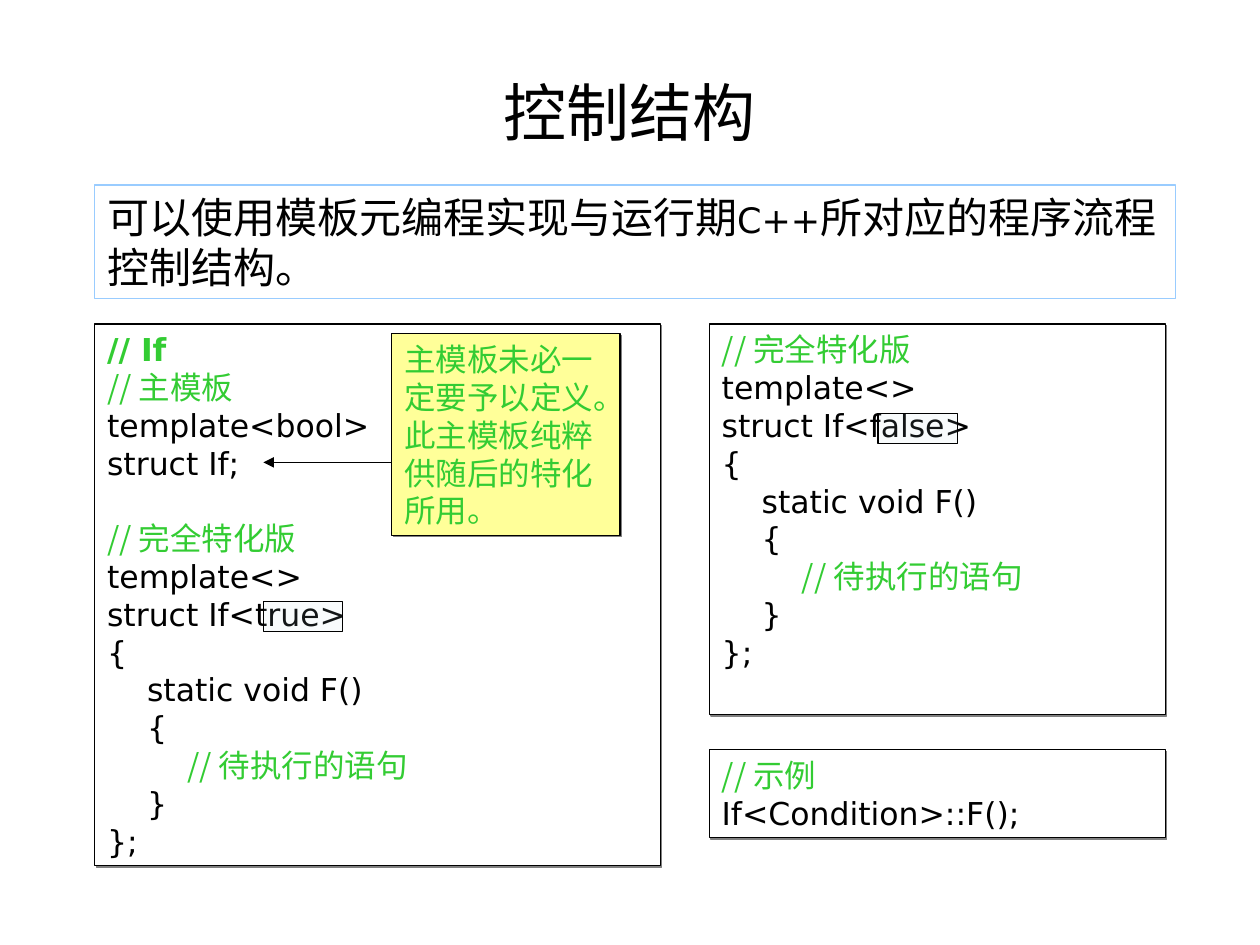
"""Build the slide on control structures in template metaprogramming."""
from dataclasses import dataclass

from lxml import etree
from pptx import Presentation
from pptx import util as u
from pptx.dml.color import RGBColor
from pptx.enum import shapes, text
from pptx.oxml.ns import qn

COLOURS = {"black": "000000", "white": "FFFFFF", "green": "33CC33", "sky": "99CCFF",
           "yellow": "FFFF99", "mark": "BBE0E3", "shadow": "808080"}
LINE_RATIO = 1.2


@dataclass(frozen=True)
class Style:
    face: str
    size: int
    colour: str = "black"
    bold: bool = False


@dataclass(frozen=True)
class Span:
    words: str
    style: Style


@dataclass(frozen=True)
class Line:
    spans: tuple[Span, ...]
    before: float = 0


@dataclass(frozen=True)
class Panel:
    left: float
    top: float
    width: float
    height: float
    lines: tuple[Line, ...] = ()
    fill: str | None = "white"
    outline: str = "black"
    shadow: bool = True
    opacity: int = 100


CODE = Style("DejaVu Sans", 18)
HEADING = Style("DejaVu Sans", 18, "green", True)
COMMENT = Style("Noto Sans CJK JP", 18, "green")
CALLOUT = Style("Arial", 18, "green")
LEAD = Style("Noto Sans CJK JP", 24)
LEAD_LATIN = Style("DejaVu Sans", 20)
TITLE = Style("Arial", 36)


def line(words: str, style: Style = CODE, before: float = 0) -> Line:
    """Make a line with a single style."""
    return Line((Span(words, style),), before)


def specialisation(value: str, before: float = 0) -> tuple[Line, ...]:
    """List the code of one full specialisation."""
    return (
        line("// 完全特化版", COMMENT, before),
        *map(line, ("template<>", f"struct If<{value}>", "{", "    static void F()", "    {")),
        Line((Span("        ", CODE), Span("// 待执行的语句", COMMENT))),
        *map(line, ("    }", "};")),
    )


BANNER = Panel(1.91, 3.73, 21.79, 2.29, (Line((
    Span("可以使用模板元编程实现与运行期", LEAD),
    Span("C++", LEAD_LATIN),
    Span("所对应的程序流程控制结构。", LEAD))),), None, "sky", False)
PRIMARY = Panel(1.91, 6.53, 11.4, 10.92, (
    line("// If", HEADING),
    line("// 主模板", COMMENT),
    line("template<bool>"),
    line("struct If;"),
    *specialisation("true", before=0.76)))
FALSE_CASE = Panel(14.3, 6.53, 9.19, 7.87, specialisation("false"))
EXAMPLE = Panel(14.3, 15.11, 9.19, 1.78, (
    line("// 示例", COMMENT), line("If<Condition>::F();")))
REMARK = Panel(7.9, 6.73, 4.6, 4.06, (
    line("主模板未必一定要予以定义。此主模板纯粹供随后的特化所用。", CALLOUT),), "yellow")
MARKS = tuple(Panel(left, top, 1.6, 0.61, fill="mark", shadow=False, opacity=10)
              for left, top in ((5.31, 12.12), (17.7, 8.33)))


def rgb(name: str) -> RGBColor:
    """Look up a named colour."""
    return RGBColor.from_string(COLOURS[name])


def apply_style(font, style: Style) -> None:
    """Set size, weight, colour and both typefaces."""
    font.size = u.Pt(style.size)
    font.bold = style.bold
    font.color.rgb = rgb(style.colour)
    font.name = style.face
    etree.SubElement(font._element if hasattr(font, "_element") else font._rPr,
                     qn("a:ea"), typeface=style.face)


def write(frame, lines: tuple[Line, ...], align=text.PP_ALIGN.LEFT,
          anchor=text.MSO_ANCHOR.TOP) -> None:
    """Fill a text frame with styled lines."""
    frame.word_wrap = True
    frame.vertical_anchor = anchor
    frame.margin_left = frame.margin_right = u.Cm(0.25)
    frame.margin_top = frame.margin_bottom = u.Cm(0.13)
    for index, item in enumerate(lines):
        para = frame.paragraphs[0] if index == 0 else frame.add_paragraph()
        para.alignment = align
        para.line_spacing = u.Pt(LINE_RATIO * max(span.style.size for span in item.spans))
        if item.before:
            para.space_before = u.Cm(item.before)
        uniform = len({span.style for span in item.spans}) == 1
        if uniform:
            apply_style(para.font, item.spans[0].style)
        for span in item.spans:
            run = para.add_run()
            run.text = span.words
            if not uniform:
                apply_style(run.font, span.style)


def add_shadow(box) -> None:
    """Give a box a small hard shadow to the lower right."""
    effects = box._element.spPr.find(qn("a:effectLst"))
    outer = etree.SubElement(effects, qn("a:outerShdw"), dist=str(u.Pt(1.4)),
                             dir="2700000", algn="ctr", rotWithShape="0")
    etree.SubElement(outer, qn("a:srgbClr"), val=COLOURS["shadow"])


def draw_panel(page, panel: Panel) -> None:
    """Draw a rectangle with its text."""
    box = page.shapes.add_shape(
        shapes.MSO_SHAPE.RECTANGLE,
        *map(u.Cm, (panel.left, panel.top, panel.width, panel.height)))
    box.shadow.inherit = False
    box.line.color.rgb = rgb(panel.outline)
    box.line.width = u.Pt(0.75)
    if panel.fill is None:
        box.fill.background()
    else:
        box.fill.solid()
        box.fill.fore_color.rgb = rgb(panel.fill)
    if panel.opacity < 100:
        colour = box._element.spPr.find(f"{qn('a:solidFill')}/{qn('a:srgbClr')}")
        etree.SubElement(colour, qn("a:alpha"), val=str(panel.opacity * 1000))
    if panel.shadow:
        add_shadow(box)
    if panel.lines:
        write(box.text_frame, panel.lines)


def draw_arrow(page, start: float, end: float, height: float) -> None:
    """Draw a level arrow from start to end."""
    arrow = page.shapes.add_connector(
        shapes.MSO_CONNECTOR.STRAIGHT, *map(u.Cm, (start, height, end, height)))
    arrow.line.color.rgb = rgb("black")
    arrow.line.width = u.Pt(0.75)
    etree.SubElement(arrow.line._get_or_add_ln(), qn("a:tailEnd"), type="triangle")
    etree.SubElement(arrow._element.spPr, qn("a:effectLst"))


def main() -> None:
    """Build and save the deck."""
    deck = Presentation()
    deck.slide_width, deck.slide_height = u.Cm(25.4), u.Cm(19.05)
    page = deck.slides.add_slide(deck.slide_layouts[6])
    title = page.shapes.add_textbox(*map(u.Cm, (1.27, 1.17, 22.86, 2.16)))
    write(title.text_frame, (line("控制结构", TITLE),),
          text.PP_ALIGN.CENTER, text.MSO_ANCHOR.MIDDLE)
    for panel in (BANNER, PRIMARY, FALSE_CASE, EXAMPLE, REMARK, *MARKS):
        draw_panel(page, panel)
    draw_arrow(page, REMARK.left, MARKS[0].left, 9.32)
    deck.save("out.pptx")


if __name__ == "__main__":
    main()
